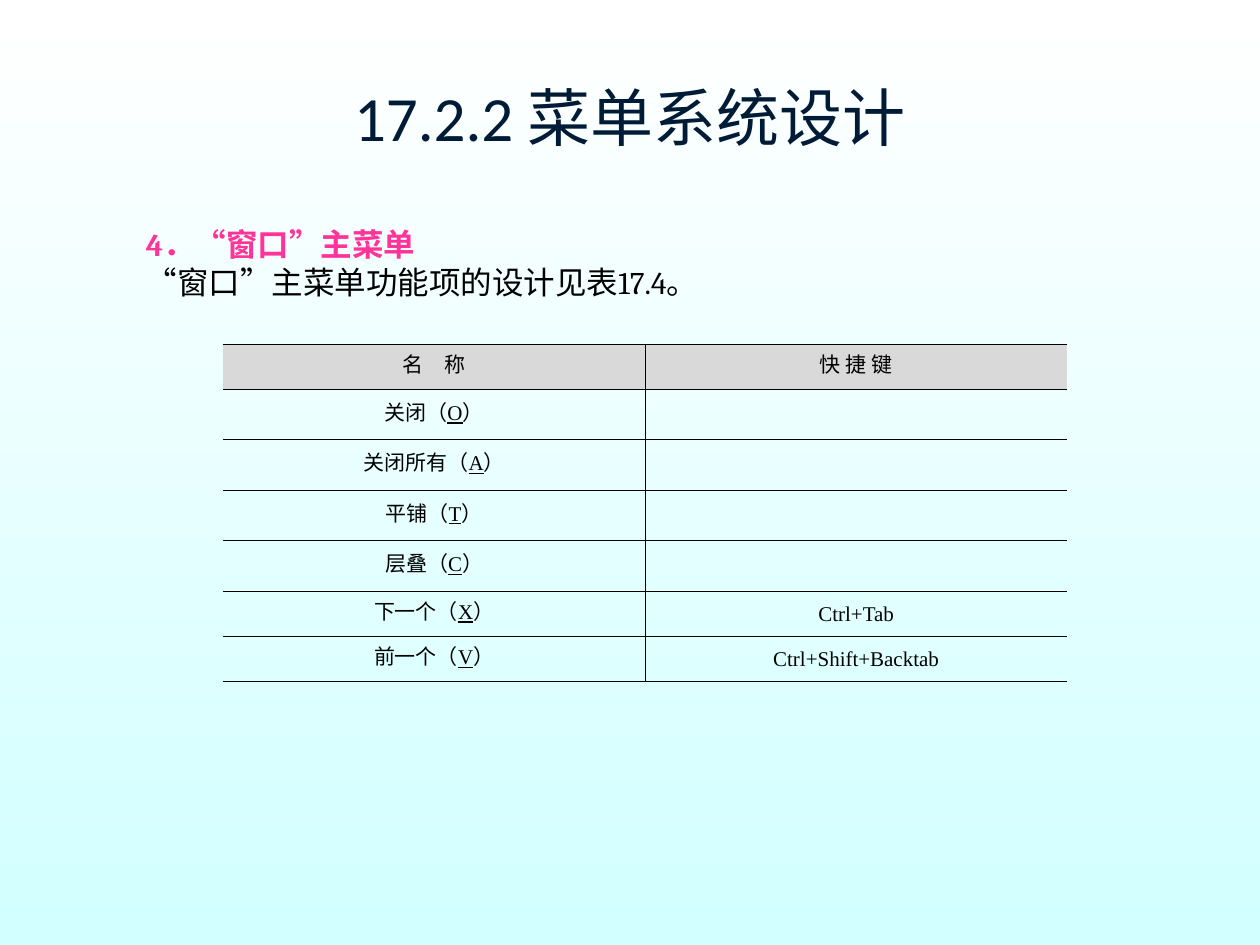
from dataclasses import dataclass

from lxml import etree
from pptx import Presentation
from pptx.dml.color import RGBColor
from pptx.enum.text import MSO_ANCHOR, MSO_AUTO_SIZE, PP_ALIGN
from pptx.oxml.ns import qn
from pptx.util import Inches, Pt

CENTER = PP_ALIGN.CENTER
MIDDLE = MSO_ANCHOR.MIDDLE
FIT_SHAPE = MSO_AUTO_SIZE.SHAPE_TO_FIT_TEXT
TITLE_ONLY = 5


@dataclass(frozen=True)
class Theme:
    """Colours, fonts and type sizes of the slide."""
    navy: str = "001B36"
    pink: str = "FF3399"
    black: str = "000000"
    header_grey: str = "D9D9D9"
    gradient: tuple = ("FFFFFF", "D2FFFF")
    title_font: str = "Calibri"
    body_font: str = "Cambria"
    header_font: str = "Arial"
    cell_font: str = "Times New Roman"
    title_size: int = 36
    body_size: int = 18
    cell_size: int = 12
    cell_leading: int = 14
    border_width: float = 0.45


THEME = Theme()
HEADERS = ("名　称", "快\u2002捷\u2002键".replace("\u2002", " "))
MENU_ITEMS = (
    ("关闭", "O", ""),
    ("关闭所有", "A", ""),
    ("平铺", "T", ""),
    ("层叠", "C", ""),
    ("下一个", "X", "Ctrl+Tab"),
    ("前一个", "V", "Ctrl+Shift+Backtab"),
)


def add_run(paragraph, text, font, size, color=THEME.black, bold=False, underline=False):
    """Add one formatted run to a paragraph."""
    run = paragraph.add_run()
    run.text = text
    run.font.name = font
    run.font.size = Pt(size)
    run.font.color.rgb = RGBColor.from_string(color)
    run.font.bold = bold
    run.font.underline = underline


def set_background(slide):
    """Fill the background with a gradient from top to bottom."""
    fill = slide.background.fill
    fill.gradient()
    fill.gradient_angle = 270
    for position, (stop, color) in enumerate(zip(fill.gradient_stops, THEME.gradient)):
        stop.position = position
        stop.color.rgb = RGBColor.from_string(color)


def add_title(slide, text):
    """Place and fill the title placeholder."""
    title = slide.shapes.title
    title.left, title.top = Inches(0.5), Inches(0.3)
    title.width, title.height = Inches(9), Inches(1.25)
    title.text_frame.vertical_anchor = MIDDLE
    paragraph = title.text_frame.paragraphs[0]
    paragraph.alignment = CENTER
    add_run(paragraph, text, THEME.title_font, THEME.title_size, THEME.navy)


def add_introduction(slide, heading, sentence):
    """Add the section heading with the sentence below it."""
    box = slide.shapes.add_textbox(Inches(1.06), Inches(1.74), Inches(5.83), Inches(1))
    frame = box.text_frame
    frame.word_wrap = True
    frame.auto_size = FIT_SHAPE
    add_run(frame.paragraphs[0], heading, THEME.body_font, THEME.body_size, THEME.pink, bold=True)
    add_run(frame.add_paragraph(), sentence, THEME.body_font, THEME.body_size)


def set_borders(cell, visible_sides):
    """Draw the named sides of a cell and hide the others."""
    properties = cell._tc.get_or_add_tcPr()
    for index, side in enumerate("LRTB"):
        line = etree.Element(qn(f"a:ln{side}"), w=str(Pt(THEME.border_width)))
        if side in visible_sides:
            fill = etree.SubElement(line, qn("a:solidFill"))
            etree.SubElement(fill, qn("a:srgbClr"), val=THEME.black)
        else:
            etree.SubElement(line, qn("a:noFill"))
        properties.insert(index, line)


def fill_cell(cell, runs, font, visible_sides, fill_color=None):
    """Format a cell and write its (text, underline) runs."""
    cell.vertical_anchor = MIDDLE
    cell.margin_left = cell.margin_right = Inches(0.08)
    if fill_color:
        cell.fill.solid()
        cell.fill.fore_color.rgb = RGBColor.from_string(fill_color)
    else:
        cell.fill.background()
    set_borders(cell, visible_sides)
    paragraph = cell.text_frame.paragraphs[0]
    paragraph.alignment = CENTER
    paragraph.line_spacing = Pt(THEME.cell_leading)
    for text, underline in runs:
        add_run(paragraph, text, font, THEME.cell_size, underline=underline)


def add_menu_table(slide):
    """Add the table of menu items and their shortcuts."""
    rows = [[[(header, False)] for header in HEADERS]]
    for name, key, shortcut in MENU_ITEMS:
        label = [(f"{name}（", False), (key, True), ("）", False)]
        rows.append([label, [(shortcut, False)] if shortcut else []])
    table = slide.shapes.add_table(
        len(rows), len(HEADERS), Inches(1.77), Inches(2.73), Inches(6.7), Inches(2.51)
    ).table
    table.first_row = table.horz_banding = False
    for row_index, row in enumerate(rows):
        is_header = row_index == 0
        font = THEME.header_font if is_header else THEME.cell_font
        fill_color = THEME.header_grey if is_header else None
        for column_index, runs in enumerate(row):
            sides = "LTB" if column_index else "RTB"
            fill_cell(table.cell(row_index, column_index), runs, font, sides, fill_color)


def main():
    """Build and save the slide."""
    presentation = Presentation()
    presentation.slide_width, presentation.slide_height = Inches(10), Inches(7.5)
    slide = presentation.slides.add_slide(presentation.slide_layouts[TITLE_ONLY])
    set_background(slide)
    add_title(slide, "17.2.2 菜单系统设计")
    add_introduction(slide, "4．“窗口”主菜单", "“窗口”主菜单功能项的设计见表17.4。")
    add_menu_table(slide)
    presentation.save("out.pptx")


if __name__ == "__main__":
    main()
